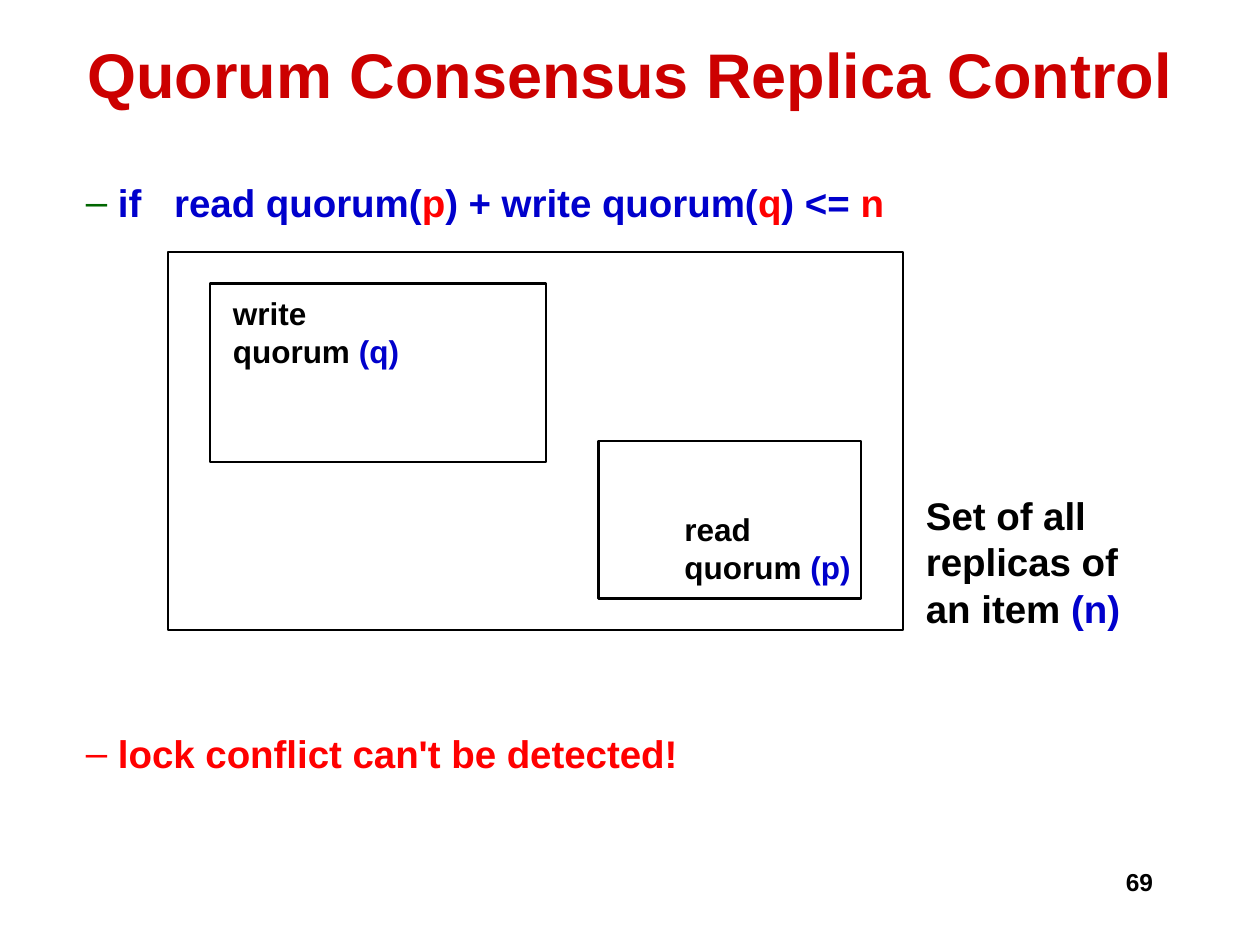
import pptx
import pptx.dml.color
import pptx.enum.shapes
import pptx.enum.text
import pptx.oxml.ns
import pptx.util
from lxml import etree

# The slide is a grid of 120 columns by 90 rows, 12 cells to the inch
CELL = pptx.util.Inches(1) / 12
FONT = "Arial"
BLACK, BLUE, RED, GREEN, TITLE_RED = "000000", "0000CC", "FF0000", "006600", "CC0000"
LEFT, CENTER, RIGHT = (pptx.enum.text.PP_ALIGN.LEFT, pptx.enum.text.PP_ALIGN.CENTER,
                       pptx.enum.text.PP_ALIGN.RIGHT)


def cells(*counts):
    return [round(count * CELL) for count in counts]


def color(hex_value):
    return pptx.dml.color.RGBColor.from_string(hex_value)


def add_label(slide, area, lines, size, align=LEFT, wrap=True):
    """Write bold lines, each a list of (wording, colour) pairs."""
    frame = slide.shapes.add_textbox(*cells(*area)).text_frame
    frame.word_wrap = wrap
    for number, line in enumerate(lines):
        paragraph = frame.add_paragraph() if number else frame.paragraphs[0]
        paragraph.alignment = align
        for wording, hex_value in line:
            run = paragraph.add_run()
            run.text = wording
            run.font.name = FONT
            run.font.size = pptx.util.Pt(size)
            run.font.bold = True
            run.font.color.rgb = color(hex_value)
    return frame


def add_dash_point(slide, area, line, dash_color, tab=None):
    """Write one dash bullet, with an optional tab stop in inches."""
    paragraph = add_label(slide, area, [line], 22).paragraphs[0]
    qn = pptx.oxml.ns.qn
    properties = paragraph._p.get_or_add_pPr()
    properties.set("marL", "0")
    properties.set("indent", "0")
    bullet_color = etree.SubElement(properties, qn("a:buClr"))
    etree.SubElement(bullet_color, qn("a:srgbClr"), val=dash_color)
    etree.SubElement(properties, qn("a:buFont"), typeface=FONT)
    etree.SubElement(properties, qn("a:buChar"), char="–")
    if tab:
        stops = etree.SubElement(properties, qn("a:tabLst"))
        etree.SubElement(stops, qn("a:tab"), pos=str(pptx.util.Inches(tab)), algn="l")


def add_set(slide, area):
    """Draw the outline of a set of replicas."""
    outline = slide.shapes.add_shape(pptx.enum.shapes.MSO_SHAPE.RECTANGLE, *cells(*area))
    outline.shadow.inherit = False
    outline.fill.background()
    outline.line.color.rgb = color(BLACK)
    outline.line.width = pptx.util.Pt(1.5)


def add_quorum(slide, area, label_corner, kind, votes):
    """Draw a quorum's outline and its two-line label."""
    lines = [[(kind, BLACK)], [("quorum ", BLACK), (votes, BLUE)]]
    add_label(slide, (*label_corner, 18.24, 8.4), lines, 18, wrap=False)
    add_set(slide, area)


def main():
    deck = pptx.Presentation()
    deck.slide_width, deck.slide_height = cells(120, 90)
    slide = deck.slides.add_slide(deck.slide_layouts[6])

    # Title and page number
    title = add_label(slide, (7, 1, 106, 12),
                      [[("Quorum Consensus Replica Control", TITLE_RED)]], 36, CENTER)
    title.vertical_anchor = pptx.enum.text.MSO_ANCHOR.MIDDLE
    title.margin_left = title.margin_right = 0
    add_label(slide, (86, 82, 25, 6), [[("69", BLACK)]], 14, RIGHT)

    # Condition and its consequence
    condition = [(" if\tread quorum(", BLUE), ("p", RED), (") + write quorum(", BLUE),
                 ("q", RED), (") <= ", BLUE), ("n", RED)]
    add_dash_point(slide, (7, 16.5, 106, 5.5), condition, GREEN, tab=0.7)
    consequence = [(" lock conflict can't be detected!", RED)]
    add_dash_point(slide, (7, 68.9, 106, 5.5), consequence, RED)

    # Two quorums that do not overlap, within the set of all replicas
    add_set(slide, (16, 24, 70, 36))
    add_quorum(slide, (20, 27, 32, 17), (21, 27.4), "write", "(q)")
    add_quorum(slide, (57, 42, 25, 15), (64, 48), "read", "(p)")
    replicas = [[("Set of all", BLACK)], [("replicas of", BLACK)],
                [("an item ", BLACK), ("(n)", BLUE)]]
    add_label(slide, (87, 46.3, 21, 14.4), replicas, 22, wrap=False)

    deck.save("out.pptx")


if __name__ == "__main__":
    main()
